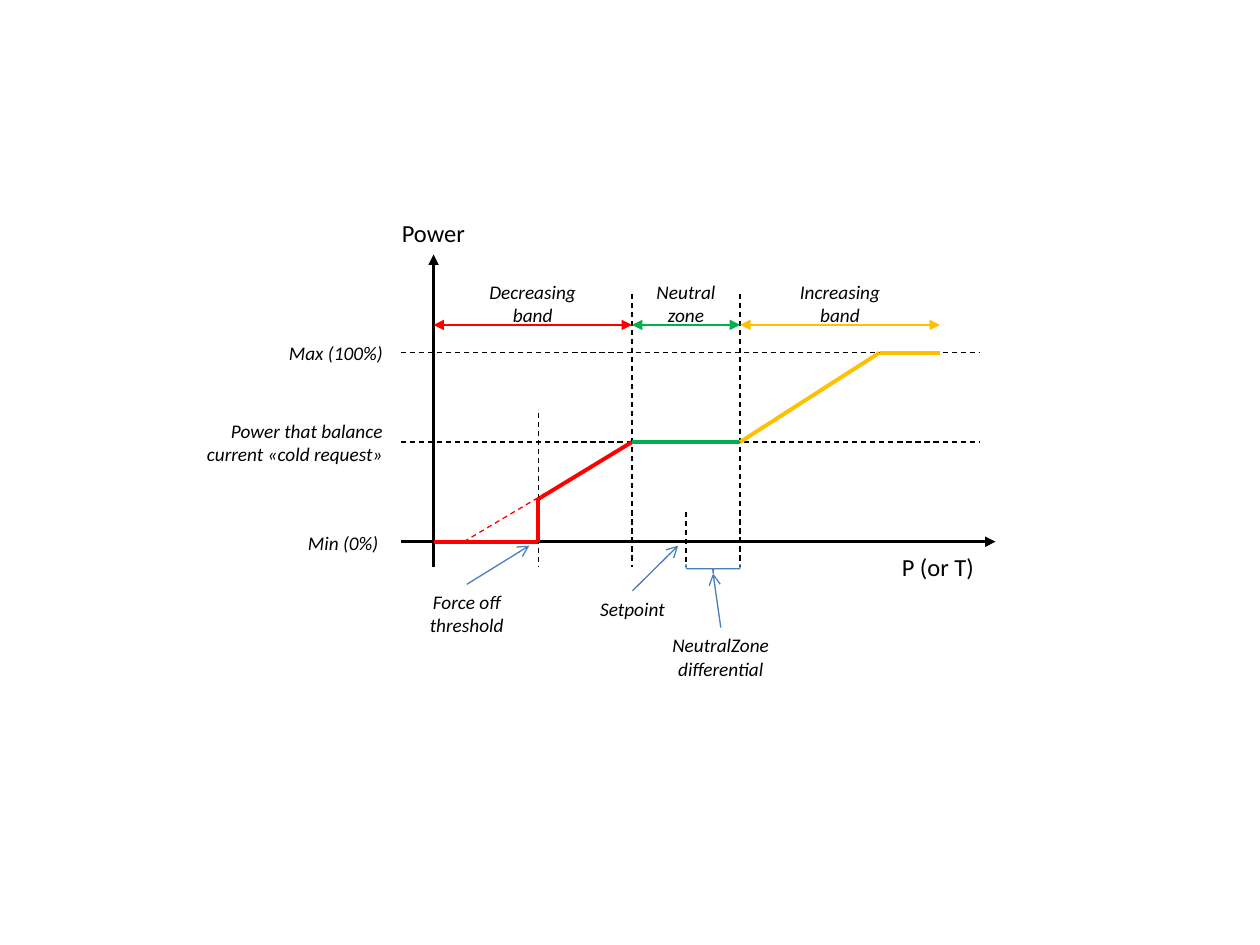
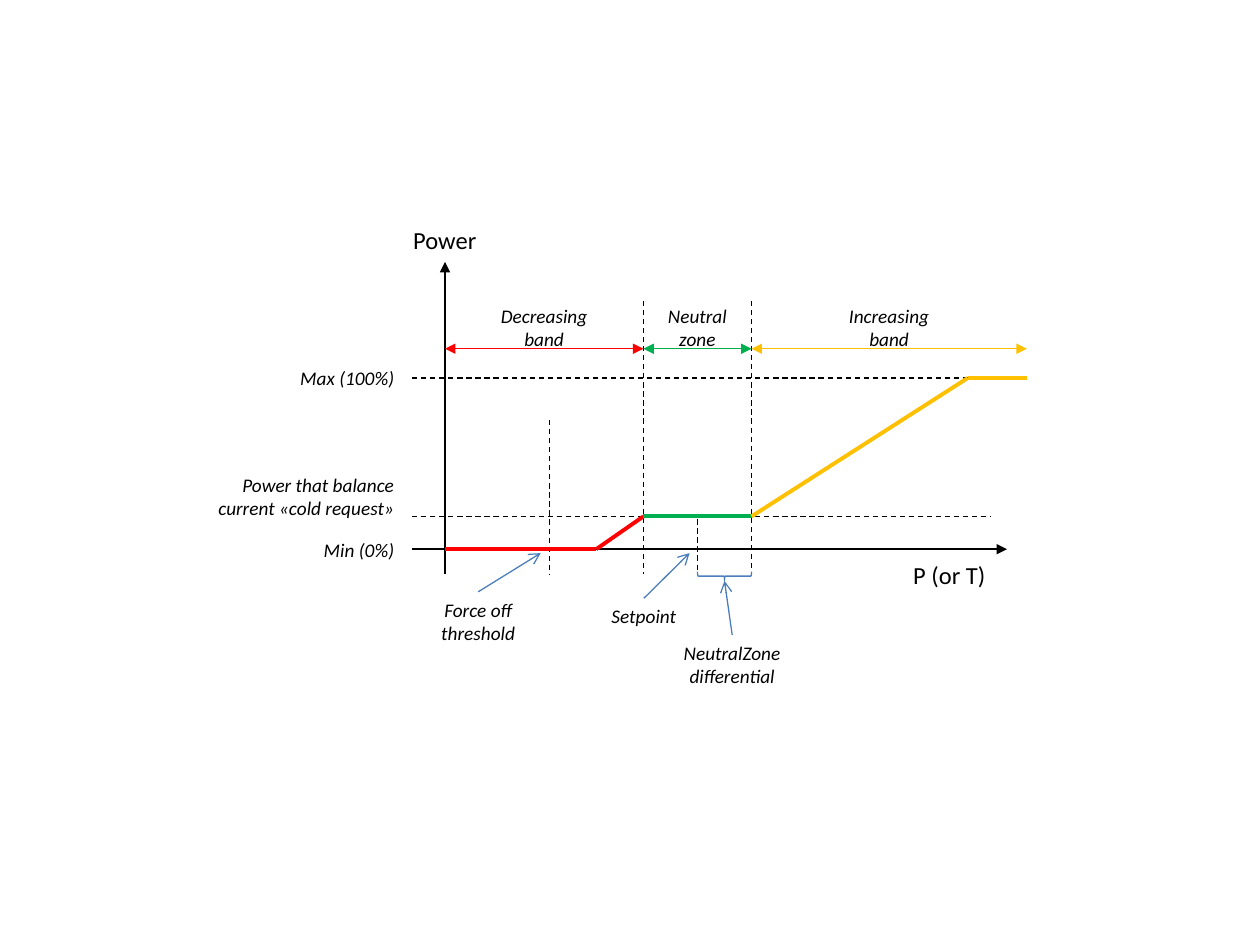
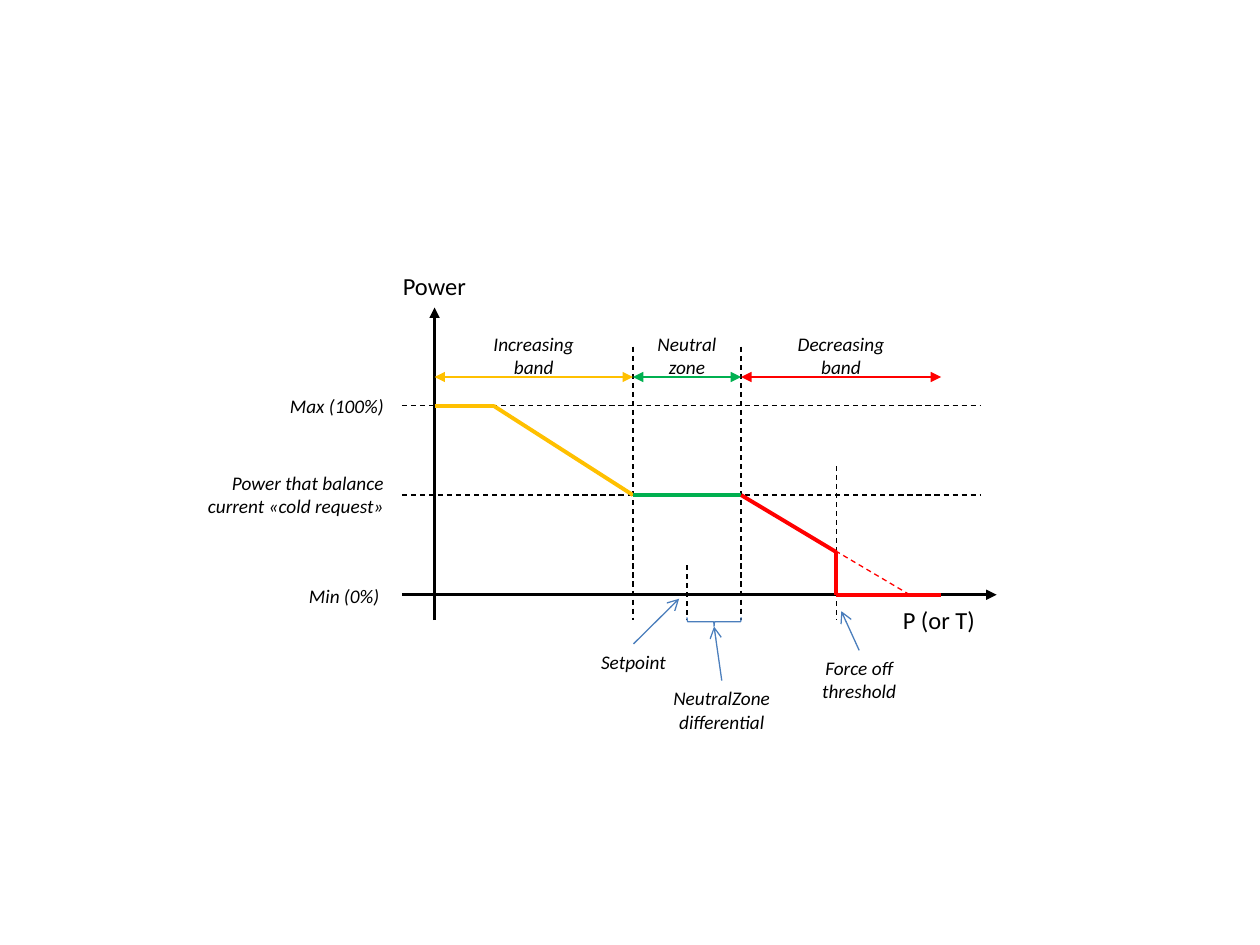
from itertools import pairwise
from lxml.etree import SubElement
from pptx import Presentation
from pptx.dml.color import RGBColor
from pptx.enum.dml import MSO_LINE
from pptx.enum.shapes import MSO_CONNECTOR, MSO_SHAPE
from pptx.enum.text import MSO_AUTO_SIZE, PP_ALIGN
from pptx.oxml.ns import qn
from pptx.util import Cm, Pt

COLORS = {"ink": "000000", "callout": "4B7EBC", "Decreasing": "FF0000",
          "Neutral": "00B050", "Increasing": "FFC000"}
AXIS_TEXT = {"name": "Calibri", "size": Pt(14), "italic": False}
LABEL_TEXT = {"name": "Calibri", "size": Pt(11), "italic": True}

# Geometry shared by the diagrams, in cm from the crossing of the axes
ZONE_LEFT, ZONE_RIGHT = 4.0, 6.18
SETPOINT = (ZONE_LEFT + ZONE_RIGHT) / 2
BRACE_X = (SETPOINT + ZONE_RIGHT) / 2
GUIDE_START, GUIDE_END = -0.66, 11.0
GUIDE_TOP, GUIDE_BOTTOM = -5.0, 0.51
BAND_WIDTHS = {"Decreasing": 2.26, "Neutral": 1.7, "Increasing": 2.13}

diagrams = [
    {"origin": (8.74, 10.92), "max": -3.81, "balance": -2.01, "band_y": -4.37,
     "end": 10.21, "bands": ["Decreasing", "Neutral", "Increasing"],
     "left_curve": [(0, 0), (2.11, 0), (2.11, -0.86), (ZONE_LEFT, -2.01)],
     "right_curve": [(ZONE_RIGHT, -2.01), (8.99, -3.81), (10.21, -3.81)],
     "cut_off": [(0.61, 0), (ZONE_LEFT, -2.01)],
     "force_off": 2.11, "force_arrow": [(0.67, 0.86), (1.93, 0.08)],
     "min_right": -0.86, "balance_rise": 0.58},
    {"origin": (8.97, 11.07), "max": -3.45, "balance": -0.66, "band_y": -4.04,
     "end": 11.73, "bands": ["Decreasing", "Neutral", "Increasing"],
     "left_curve": [(0, 0), (3.05, 0), (ZONE_LEFT, -0.66)],
     "right_curve": [(ZONE_RIGHT, -0.66), (10.54, -3.45), (11.73, -3.45)],
     "cut_off": [],
     "force_off": 2.11, "force_arrow": [(0.67, 0.86), (1.93, 0.08)],
     "min_right": -0.77, "balance_rise": 0.99},
    {"origin": (8.76, 11.99), "max": -3.81, "balance": -2.01, "band_y": -4.39,
     "end": 10.21, "bands": ["Increasing", "Neutral", "Decreasing"],
     "left_curve": [(0, -3.81), (1.19, -3.81), (ZONE_LEFT, -2.01)],
     "right_curve": [(ZONE_RIGHT, -2.01), (8.1, -0.86), (8.1, 0), (10.21, 0)],
     "cut_off": [(9.58, 0), (ZONE_RIGHT, -2.01)],
     "force_off": 8.1, "force_arrow": [(8.56, 1.12), (8.2, 0.33)],
     "min_right": -0.86, "balance_rise": 0.61},
]


def add_line(start, end, color="ink", width=0.75, dashed=False, head=None, tail=None):
    """Draw a line between two points given from the axis crossing."""
    line = slide.shapes.add_connector(
        MSO_CONNECTOR.STRAIGHT, Cm(x0 + start[0]), Cm(y0 + start[1]),
        Cm(x0 + end[0]), Cm(y0 + end[1]))
    line.line.color.rgb = RGBColor.from_string(COLORS[color])
    line.line.width = Pt(width)
    if dashed:
        line.line.dash_style = MSO_LINE.DASH
    properties = line._element.spPr
    for tag, arrowhead in (("a:headEnd", head), ("a:tailEnd", tail)):
        if arrowhead:
            SubElement(properties.find(qn("a:ln")), qn(tag), type=arrowhead)
    SubElement(properties, qn("a:effectLst"))


def add_label(text, left, top, width, height, align=PP_ALIGN.CENTER, font=LABEL_TEXT):
    """Place text, one paragraph a line, given from the axis crossing."""
    frame = slide.shapes.add_textbox(
        Cm(x0 + left), Cm(y0 + top), Cm(width), Cm(height)).text_frame
    frame.word_wrap = False
    frame.auto_size = MSO_AUTO_SIZE.SHAPE_TO_FIT_TEXT
    frame.text = text
    for paragraph in frame.paragraphs:
        paragraph.alignment = align
        run_font = paragraph.runs[0].font
        for attribute, value in font.items():
            setattr(run_font, attribute, value)
        run_font.color.rgb = RGBColor.from_string(COLORS["ink"])


prs = Presentation()
prs.slide_width, prs.slide_height = Cm(25.4), Cm(19.05)

for diagram in diagrams:
    slide = prs.slides.add_slide(prs.slide_layouts[6])
    x0, y0 = diagram["origin"]
    balance, band_y = diagram["balance"], diagram["band_y"]

    # Axes and their names
    add_line((0, GUIDE_BOTTOM), (0, -5.79), width=1.5, tail="triangle")
    add_line((GUIDE_START, 0), (11.33, 0), width=1.5, tail="triangle")
    add_label("Power", -0.89, -6.65, 1.8, 0.86, PP_ALIGN.LEFT, AXIS_TEXT)
    add_label("P (or T)", 9.19, 0.09, 1.98, 0.86, PP_ALIGN.LEFT, AXIS_TEXT)

    # Dashed guides
    for level in (balance, diagram["max"]):
        add_line((GUIDE_START, level), (GUIDE_END, level), dashed=True)
    for x, top in ((ZONE_LEFT, GUIDE_TOP), (ZONE_RIGHT, GUIDE_TOP),
                   (SETPOINT, -0.6), (diagram["force_off"], -2.6)):
        add_line((x, top), (x, GUIDE_BOTTOM), dashed=True)

    # Power levels
    for text, right, top, width, height in (
            ("Min (0%)", diagram["min_right"], -0.34, 1.96, 0.74),
            ("Max (100%)", -0.77, diagram["max"] - 0.36, 2.44, 0.74),
            ("Power that balance\ncurrent «cold request»", -0.77,
             balance - diagram["balance_rise"], 4.09, 1.19)):
        add_label(text, right - width, top, width, height, PP_ALIGN.RIGHT)

    # Power curve, band arrows and band names
    if diagram["cut_off"]:
        add_line(*diagram["cut_off"], color="Decreasing", dashed=True)
    curves = (diagram["left_curve"], [(ZONE_LEFT, balance), (ZONE_RIGHT, balance)],
              diagram["right_curve"])
    edges = pairwise((0, ZONE_LEFT, ZONE_RIGHT, diagram["end"]))
    for band, curve, (left, right) in zip(diagram["bands"], curves, edges):
        for start, end in pairwise(curve):
            add_line(start, end, band, 2.25)
        add_line((left, band_y), (right, band_y), band, head="triangle", tail="triangle")
        noun = "zone" if band == "Neutral" else "band"
        width = BAND_WIDTHS[band]
        add_label(f"{band}\n{noun}", (left + right - width) / 2, band_y - 1.03, width, 1.24)

    # Brace over half of the neutral zone
    brace = slide.shapes.add_shape(MSO_SHAPE.RIGHT_BRACE, Cm(x0 + BRACE_X - 0.09),
                                   Cm(y0), Cm(0.18), Cm(1.09))
    brace.rotation = 90
    brace.shadow.inherit = False
    brace.fill.background()
    brace.line.color.rgb = RGBColor.from_string(COLORS["callout"])
    brace.line.width = Pt(0.75)

    # Callouts: each text hangs centred below the start of its arrow
    for text, width, height, (start, end) in (
            ("Setpoint", 1.83, 0.74, [(4.01, 0.99), (4.93, 0.08)]),
            ("NeutralZone\ndifferential", 2.49, 1.19, [(5.79, 1.73), (BRACE_X, 0.64)]),
            ("Force off\nthreshold", 2.01, 1.19, diagram["force_arrow"])):
        add_line(start, end, "callout", tail="arrow")
        add_label(text, start[0] - width / 2, start[1], width, height)

prs.save("out.pptx")
